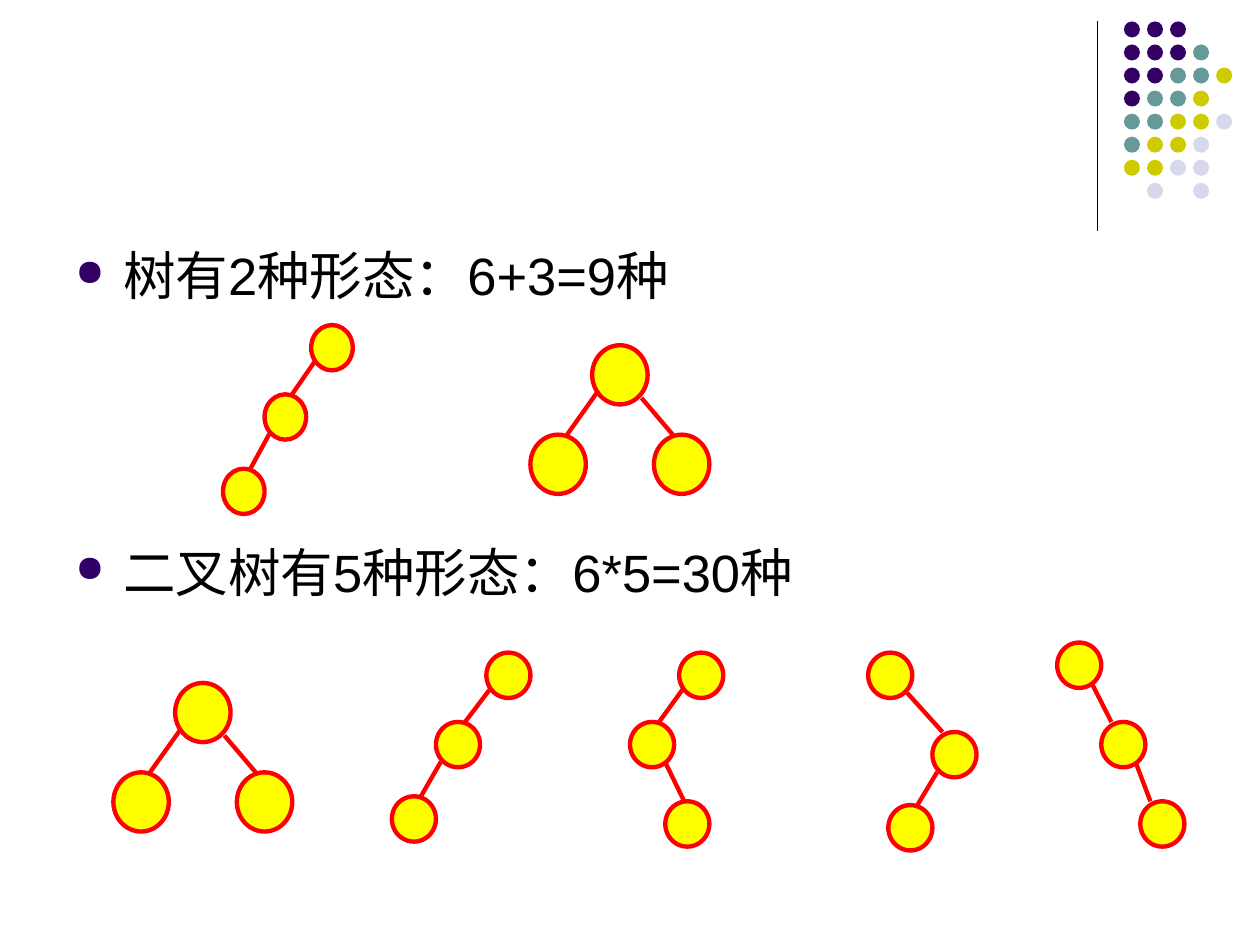
"""Build a slide that counts the shapes of trees and binary trees with three nodes."""
from lxml.etree import SubElement
from pptx import Presentation
from pptx.dml.color import RGBColor
from pptx.enum.shapes import MSO_CONNECTOR, MSO_SHAPE
from pptx.oxml.ns import qn
from pptx.util import Inches, Pt

BLACK = RGBColor(0x00, 0x00, 0x00)
PURPLE = RGBColor(0x33, 0x00, 0x66)
TEAL = RGBColor(0x66, 0x99, 0x99)
OLIVE = RGBColor(0xCC, 0xCC, 0x00)
LILAC = RGBColor(0xD8, 0xD8, 0xEC)
YELLOW = RGBColor(0xFF, 0xFF, 0x00)
RED = RGBColor(0xFF, 0x00, 0x00)

COLS, ROWS = 100, 75
DOT_COLORS = {"P": PURPLE, "T": TEAL, "O": OLIVE, "L": LILAC}
DOT_ROWS = ["PPP", "PPPT", "PPTTO", "PTTO", "TTOOL", "TOOL", "OOLL", ".L.L"]
DOT_LEFT, DOT_TOP, DOT_PITCH, DOT_SIZE = 89.2, 1.7, 1.83, 1.27

LARGE, MEDIUM, SMALL = (4.4, 4.7), (3.5, 3.6), (3.3, 3.6)
LEFT_ROOT = (0.11, 0.77, 0.66)
LEFT_INNER = (0.11, 0.88, 0.66)
RIGHT_FORK = (0.89, 0.89, 0.34)
RIGHT_WIDE = (0.89, 0.89, 0.23)
RIGHT_STEEP = (0.78, 0.89, 0.23)
RIGHT_SHORT = (0.8, 0.89, 0.43)

FORK = [(0, 1, LEFT_ROOT), (0, 2, RIGHT_FORK)]


def chain(upper, lower):
    """Return the edges of a chain of three nodes."""
    return [(0, 1, upper), (1, 2, lower)]


TREES = [
    (SMALL, [(24.7, 25.8), (21, 31.3), (17.7, 37.2)], chain(LEFT_ROOT, LEFT_INNER)),
    (LARGE, [(47, 27.4), (42.1, 34.5), (51.9, 34.5)], FORK),
    (LARGE, [(13.9, 54.2), (9, 61.3), (18.8, 61.3)], FORK),
    (MEDIUM, [(38.6, 51.8), (34.6, 57.3), (31.1, 63.2)], chain(LEFT_ROOT, LEFT_INNER)),
    (MEDIUM, [(53.9, 51.8), (50, 57.3), (52.8, 63.6)], chain(LEFT_ROOT, RIGHT_SHORT)),
    (MEDIUM, [(68.9, 51.8), (74, 58.1), (70.5, 63.9)], chain(RIGHT_WIDE, LEFT_INNER)),
    (MEDIUM, [(83.9, 51), (87.4, 57.3), (90.5, 63.6)], chain(RIGHT_STEEP, RIGHT_STEEP)),
]


def write(p, text, font="Arial", size=30, color=BLACK, before=7.5, bullet=PURPLE):
    """Write a bulleted line of text into a paragraph."""
    p.space_before = Pt(before)
    r = p.add_run()
    r.text = text
    r.font.name, r.font.size = font, Pt(size)
    r.font.color.rgb = color
    pPr = p._p.get_or_add_pPr()
    pPr.set("marL", str(Inches(0.38)))
    pPr.set("indent", str(-Inches(0.38)))
    SubElement(SubElement(pPr, qn("a:buClr")), qn("a:srgbClr"), val=str(bullet))
    SubElement(pPr, qn("a:buSzPct"), val="70000")
    SubElement(pPr, qn("a:buChar"), char="●")


class Deck:
    """Hold the grid, the style and the current slide."""

    def __init__(self, prs, line_width=2.5):
        self.cell_w, self.cell_h = prs.slide_width / COLS, prs.slide_height / ROWS
        self.line_width = line_width
        self.s = prs.slides.add_slide(prs.slide_layouts[6])

    def place(self, *lengths):
        """Turn alternating columns and rows into slide lengths."""
        return [round(n * (self.cell_h if i % 2 else self.cell_w))
                for i, n in enumerate(lengths)]

    def group(self):
        """Add a group and return its shapes."""
        return self.s.shapes.add_group_shape().shapes

    def circle(self, shapes, x, y, w, h, fill, line=None):
        """Draw an ellipse, outlined when a line colour is given."""
        sp = shapes.add_shape(MSO_SHAPE.OVAL, *self.place(x, y, w, h))
        sp.shadow.inherit = False
        sp.fill.solid()
        sp.fill.fore_color.rgb = fill
        if line is None:
            sp.line.fill.background()
        else:
            sp.line.color.rgb = line
            sp.line.width = Pt(self.line_width)

    def line(self, shapes, x1, y1, x2, y2, color, width):
        """Draw a straight line."""
        sp = shapes.add_connector(MSO_CONNECTOR.STRAIGHT, *self.place(x1, y1, x2, y2))
        sp.line.color.rgb = color
        sp.line.width = Pt(width)
        SubElement(sp._element.spPr, qn("a:effectLst"))

    def dots(self):
        """Draw the corner pattern of dots."""
        shapes = self.group()
        for row, keys in enumerate(DOT_ROWS):
            for col, key in enumerate(keys):
                if key in DOT_COLORS:
                    self.circle(shapes, DOT_LEFT + col * DOT_PITCH, DOT_TOP + row * DOT_PITCH,
                                DOT_SIZE, DOT_SIZE, DOT_COLORS[key])

    def tree(self, size, nodes, edges):
        """Draw the nodes of a tree and the edges between them."""
        shapes = self.group()
        w, h = size
        for x, y in reversed(nodes):
            self.circle(shapes, x, y, w, h, YELLOW, RED)
        for parent, child, (start_x, start_y, end_x) in edges:
            (px, py), (cx, cy) = nodes[parent], nodes[child]
            self.line(shapes, px + start_x * w, py + start_y * h, cx + end_x * w, cy,
                      RED, self.line_width)

    def bullets(self, x, y, w, h, lines):
        """Write lines of text, each with the space before it."""
        tf = self.s.shapes.add_textbox(*self.place(x, y, w, h)).text_frame
        tf.word_wrap = True
        for i, (text, before) in enumerate(lines):
            p = tf.add_paragraph() if i else tf.paragraphs[0]
            write(p, text, before=before)


def main():
    """Build and save the slide."""
    prs = Presentation()
    prs.slide_width, prs.slide_height = Inches(10), Inches(7.5)
    deck = Deck(prs)
    deck.line(deck.s.shapes, 87.1, 1.7, 87.1, 18.3, BLACK, 0.75)
    deck.dots()
    deck.bullets(5, 18.8, 90, 48.2, [("树有2种形态：6+3=9种", 7.5),
                                     ("二叉树有5种形态：6*5=30种", 133.5)])
    for tree in TREES:
        deck.tree(*tree)
    prs.save("out.pptx")


if __name__ == "__main__":
    main()
